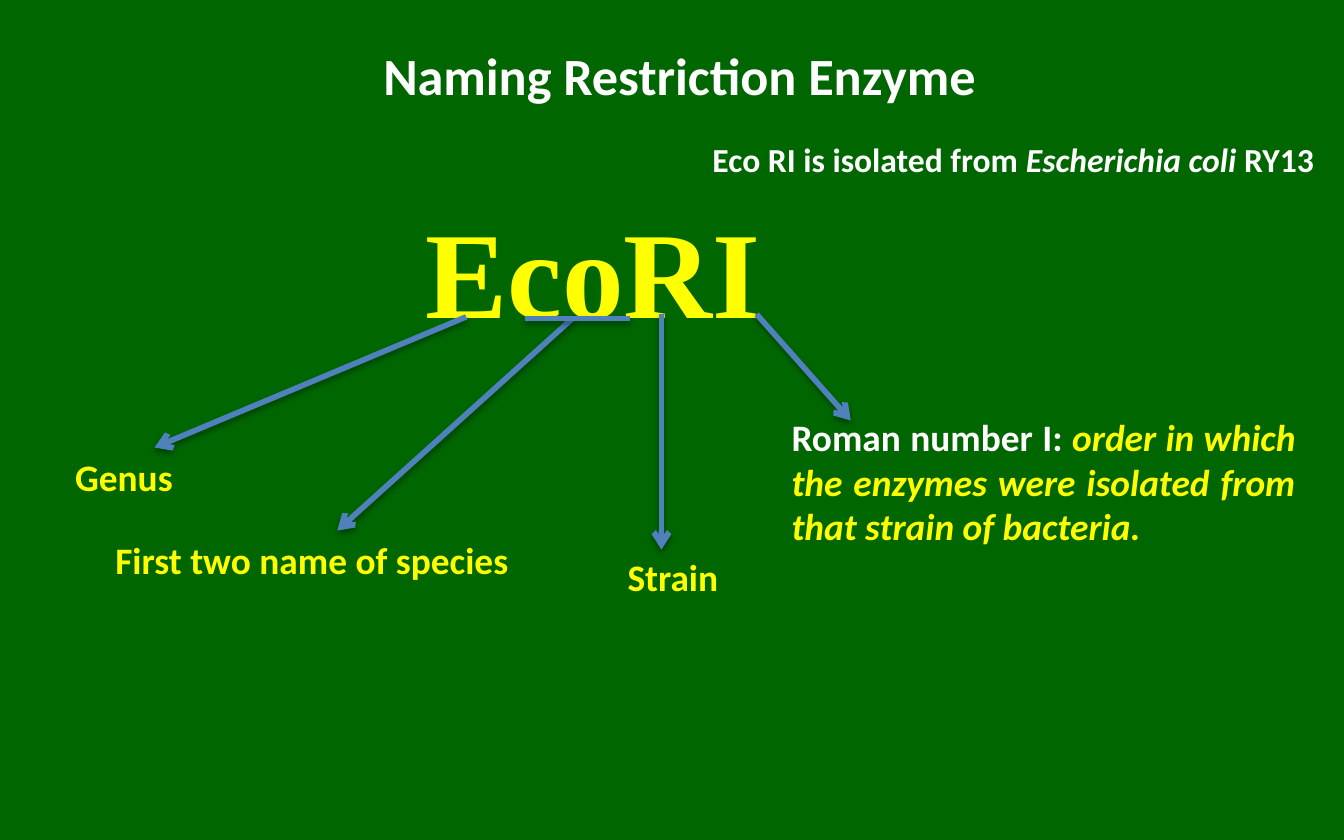
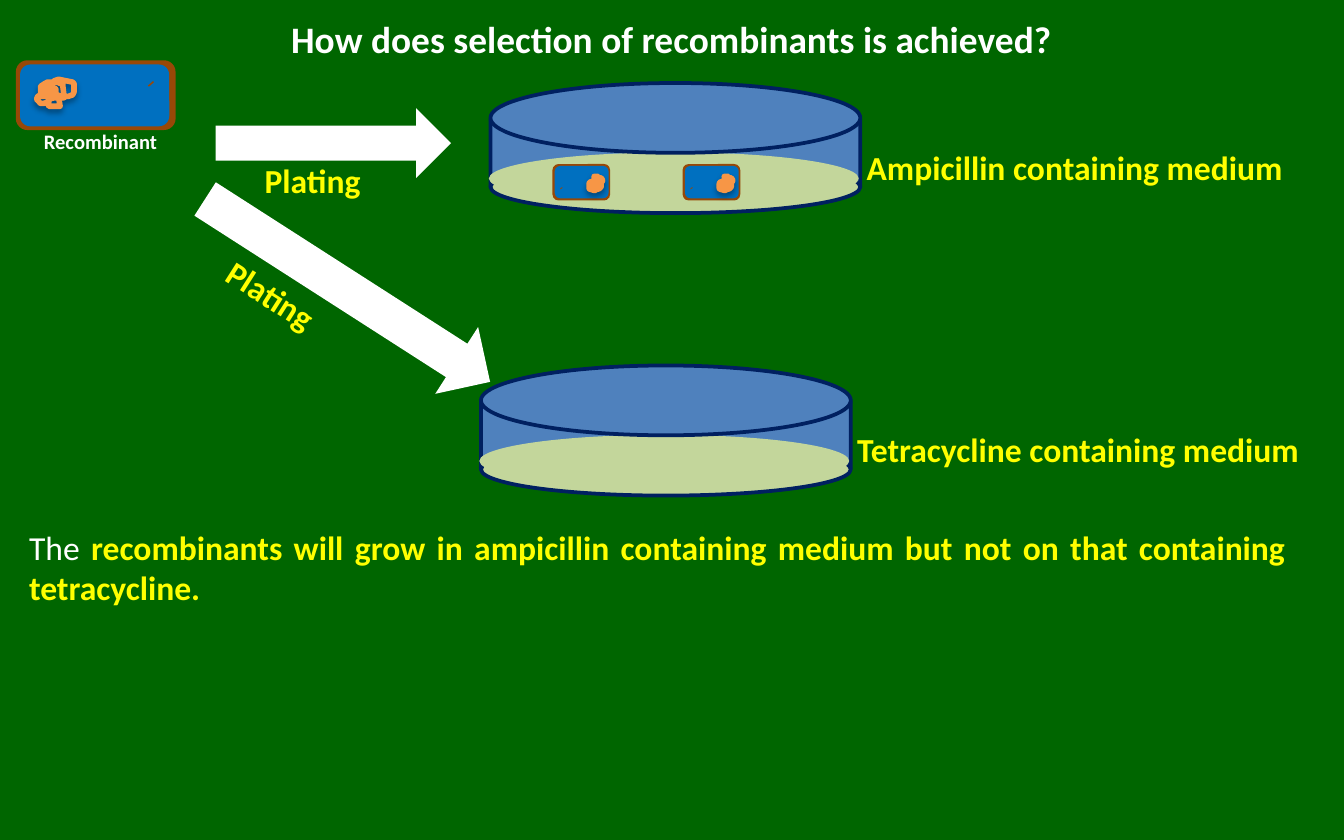
from dataclasses import dataclass

from lxml import etree
from pptx import Presentation
from pptx.dml.color import RGBColor
from pptx.enum.shapes import MSO_CONNECTOR, MSO_SHAPE
from pptx.enum.text import MSO_ANCHOR, MSO_AUTO_SIZE, PP_ALIGN
from pptx.oxml.ns import qn
from pptx.util import Cm, Pt

STRAIGHT = MSO_CONNECTOR.STRAIGHT
ROUNDED = MSO_SHAPE.ROUNDED_RECTANGLE
RECTANGLE = MSO_SHAPE.RECTANGLE
ELLIPSE = MSO_SHAPE.OVAL
DOWN_ARROW = MSO_SHAPE.DOWN_ARROW
LEFT, CENTER, JUSTIFY = PP_ALIGN.LEFT, PP_ALIGN.CENTER, PP_ALIGN.JUSTIFY
TOP, MIDDLE = MSO_ANCHOR.TOP, MSO_ANCHOR.MIDDLE
GROW, FIXED = MSO_AUTO_SIZE.SHAPE_TO_FIT_TEXT, MSO_AUTO_SIZE.NONE


@dataclass(frozen=True)
class Theme:
    ground: str = "006600"
    white: str = "FFFFFF"
    yellow: str = "FFFF00"
    blue: str = "4F81BD"
    navy: str = "002060"
    medium: str = "C3D69B"
    rim: str = "984807"
    core: str = "0070C0"
    orange: str = "F79646"
    font: str = "Calibri"
    serif: str = "Times New Roman"
    hero: int = 66
    title: int = 28
    large: int = 20
    text: int = 18
    small: int = 11
    stroke: int = 3
    outline: int = 2


THEME = Theme()

SCRIBBLE = [
    (6, 12), (8, 10), (9, 9), (8, 4), (6, 4), (4, 6), (4, 11), (6, 12),
    (8, 13), (9, 16), (9, 17), (5, 18), (3, 18), (0, 15), (1, 13), (3, 12),
    (13, 11), (14, 11), (14, 8), (13, 7), (9, 8), (4, 8), (3, 10), (3, 12),
    (6, 13), (15, 13), (16, 14), (17, 20), (15, 20), (9, 20), (8, 18),
    (9, 15), (13, 14), (20, 14), (19, 6), (19, 4), (17, 4), (15, 3),
    (8, 3), (6, 4), (3, 6), (3, 13), (6, 13), (9, 10), (10, 9), (12, 3),
    (13, 2), (16, 1), (26, 3), (27, 4), (27, 10), (26, 12), (23, 13),
    (18, 13), (15, 12), (14, 11),
]


class Board:
    def __init__(self, deck, theme):
        self.deck = deck
        self.theme = theme
        self.page = None

    def new_page(self):
        self.page = self.deck.slides.add_slide(self.deck.slide_layouts[6])
        fill = self.page.background.fill
        fill.solid()
        fill.fore_color.rgb = RGBColor.from_string(self.theme.ground)

    def text(self, at, spans, size, align=LEFT, anchor=TOP, fit=GROW,
             wrap=True, font=None, rotation=0):
        box = self.page.shapes.add_textbox(*map(Cm, at))
        box.rotation = rotation
        frame = box.text_frame
        frame.word_wrap = wrap
        frame.auto_size = fit
        frame.vertical_anchor = anchor
        para = frame.paragraphs[0]
        para.alignment = align
        for words, color, style in spans:
            span = para.add_run()
            span.text = words
            span.font.name = font or self.theme.font
            span.font.size = Pt(size)
            span.font.bold = "b" in style
            span.font.italic = "i" in style
            span.font.color.rgb = RGBColor.from_string(color)
        return box

    def title(self, at, words, size):
        self.text(at, [(words, self.theme.white, "b")], size, CENTER, MIDDLE, FIXED)

    def label(self, at, words, size, **options):
        return self.text(at, [(words, self.theme.yellow, "b")], size, **options)

    def shape(self, kind, at, fill, outline=None, rotation=0, corner=None):
        shape = self.page.shapes.add_shape(kind, *map(Cm, at))
        shape.shadow.inherit = False
        shape.rotation = rotation
        shape.fill.solid()
        shape.fill.fore_color.rgb = RGBColor.from_string(fill)
        if corner is not None:
            shape.adjustments[0] = corner
        if outline:
            self.stroke(shape, outline, self.theme.outline)
        else:
            shape.line.fill.background()
        return shape

    def stroke(self, shape, color, width):
        shape.line.color.rgb = RGBColor.from_string(color)
        shape.line.width = Pt(width)

    def soft_shadow(self, shape):
        effects = etree.SubElement(shape._element.spPr, qn("a:effectLst"))
        shadow = etree.SubElement(
            effects, qn("a:outerShdw"), blurRad=str(Pt(3.1)), dist=str(Pt(1.8)),
            dir="5400000", rotWithShape="0")
        color = etree.SubElement(shadow, qn("a:srgbClr"), val="000000")
        etree.SubElement(color, qn("a:alpha"), val="35000")

    def line(self, start, end, arrow=True, target=None):
        line = self.page.shapes.add_connector(STRAIGHT, *map(Cm, start + end))
        self.stroke(line, self.theme.blue, self.theme.stroke)
        if arrow:
            etree.SubElement(line.line._get_or_add_ln(), qn("a:tailEnd"), type="arrow")
        if target is not None:
            line.end_connect(target, 0)
        self.soft_shadow(line)

    def scribble(self, at, rotation):
        builder = self.page.shapes.build_freeform(*SCRIBBLE[0], scale=Cm(0.025))
        builder.add_line_segments(SCRIBBLE[1:], close=False)
        curl = builder.convert_to_shape()
        curl.left, curl.top, curl.width, curl.height = map(Cm, at)
        curl.rotation = rotation
        curl.fill.background()
        self.stroke(curl, self.theme.orange, self.theme.stroke)
        self.soft_shadow(curl)

    def plasmid(self, left, top, width, height, turn=0):
        def part(x, y, w, h):
            if turn:
                x, y = 3.02 - x - w, 1.32 - y - h
            across, down = width / 3.02, height / 1.32
            return left + x * across, top + y * down, w * across, h * down

        theme = self.theme
        self.shape(ROUNDED, part(0, 0, 3.02, 1.32), theme.rim, rotation=turn)
        self.shape(ROUNDED, part(0.08, 0.08, 2.82, 1.17), theme.core, rotation=turn)
        self.scribble(part(0.39, 0.36, 0.71, 0.51), turn)
        self.shape(RECTANGLE, part(2.49, 0.43, 0.13, 0.03), theme.rim,
                   rotation=(318.6 + turn) % 360)

    def dish(self, left, top, words, label_width):
        theme = self.theme
        wide, deep, shallow = 6.99, 1.32, 0.99
        self.shape(ROUNDED, (left, top + 0.66, wide, deep), theme.blue, theme.navy,
                   corner=0.034)
        self.shape(ELLIPSE, (left, top + 1.47, wide, shallow), theme.medium, theme.navy)
        self.shape(ELLIPSE, (left - 0.03, top + 1.31, wide, shallow), theme.medium)
        self.shape(ELLIPSE, (left, top, wide, deep), theme.blue, theme.navy)
        self.label((left + 6.86, top + 1.08, label_width, 1.02), words, theme.text,
                   wrap=False)


def naming_page(board):
    theme = board.theme
    board.new_page()
    board.title((0.28, 0.1, 25.12, 2.64), "Naming Restriction Enzyme", theme.title)
    board.label((7.06, 3.56, 8.89, 3.07), "EcoRI ", theme.hero, align=CENTER,
                font=theme.serif)
    board.label((1.17, 8.46, 5.21, 1.12), "Genus", theme.large)
    board.line((8.81, 5.99), (2.92, 8.46))
    board.label((11.61, 10.36, 6.65, 1.12), "Strain", theme.large)
    board.line((12.5, 5.94), (12.5, 10.39))
    board.text((14.71, 7.7, 10.03, 2.82), [
        ("Roman number I: ", theme.white, "b"),
        ("order in which the enzymes were isolated from that strain of bacteria.",
         theme.yellow, "bi"),
    ], theme.large, JUSTIFY)
    board.line((14.3, 5.94), (16.08, 7.95))
    species = board.label((1.93, 10.03, 8.89, 1.12), "First two name of species",
                          theme.large)
    board.line((10.82, 6.02), (6.38, 10.03), target=species)
    board.line((9.93, 6.02), (11.91, 6.02), arrow=False)
    board.text((12.8, 2.51, 12.7, 1.04), [
        ("Eco RI is isolated from ", theme.white, "b"),
        ("Escherichia coli", theme.white, "bi"),
        (" RY13", theme.white, "b"),
    ], theme.text, CENTER)


def selection_page(board):
    theme = board.theme
    board.new_page()
    board.title((-1.42, -0.05, 28.22, 1.55),
                "How does selection of recombinants is achieved?", theme.large)
    board.text((0.3, 9.83, 24.26, 3.38), [
        ("The ", theme.white, ""),
        ("recombinants will grow in ampicillin containing medium but not on that "
         "containing tetracycline. ", theme.yellow, "b"),
    ], theme.text, JUSTIFY, fit=FIXED)
    board.dish(9.27, 1.57, "Ampicillin containing medium", 8.43)
    board.dish(9.09, 6.91, "Tetracycline containing medium", 8.92)
    board.shape(DOWN_ARROW, (5.64, 0.48, 1.32, 4.45), theme.white, rotation=270)
    board.label((4.75, 2.9, 2.49, 1.02), "Plating", theme.text, wrap=False)
    board.shape(DOWN_ARROW, (5.82, 2.29, 1.5, 6.4), theme.white, rotation=302.7)
    board.label((3.78, 5.26, 3.15, 1.45), "Plating", theme.text, wrap=False,
                rotation=32.6)
    for left in (12.9, 10.44):
        board.plasmid(left, 3.1, 1.09, 0.69, turn=180)
    board.plasmid(0.3, 1.14, 3.02, 1.32)
    board.text((0.58, 2.31, 2.77, 0.74), [("Recombinant", theme.white, "b")],
               theme.small, wrap=False)


def main():
    deck = Presentation()
    deck.slide_width, deck.slide_height = Cm(25.4), Cm(15.88)
    board = Board(deck, THEME)
    naming_page(board)
    selection_page(board)
    deck.save("out.pptx")


if __name__ == "__main__":
    main()
